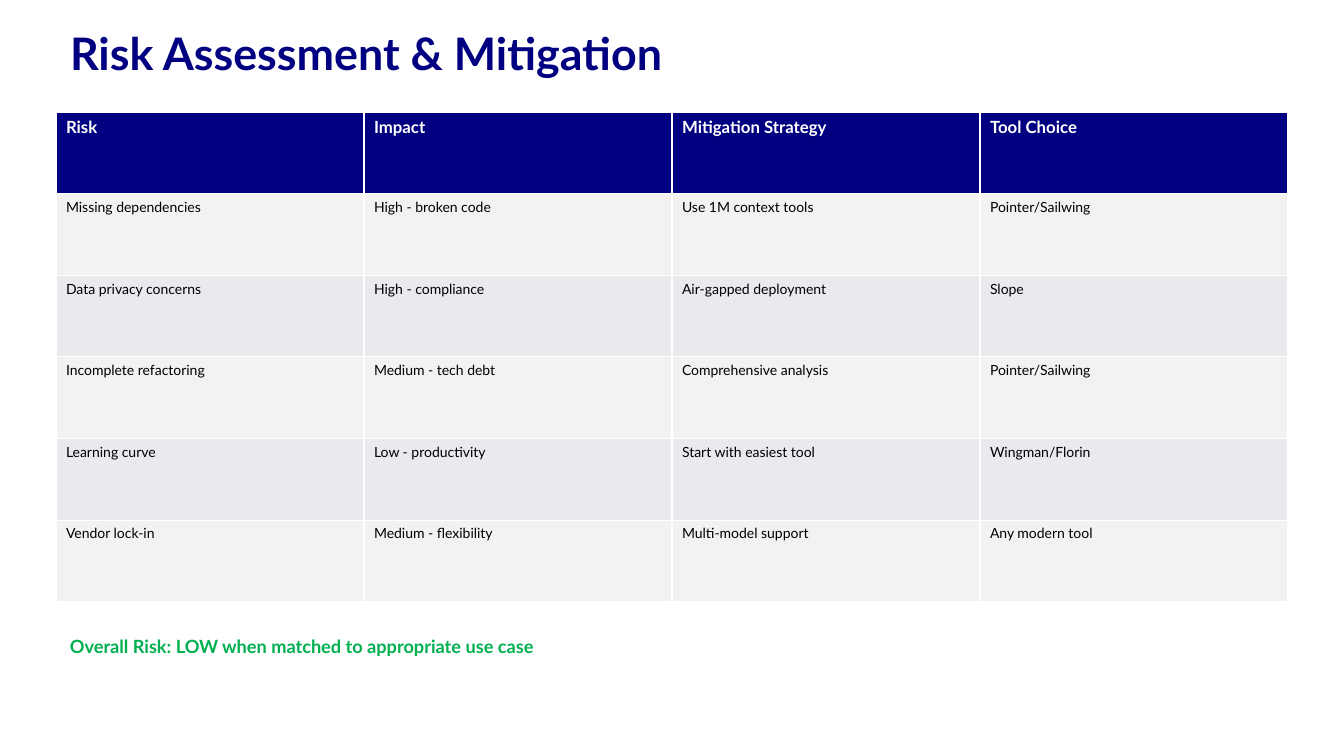
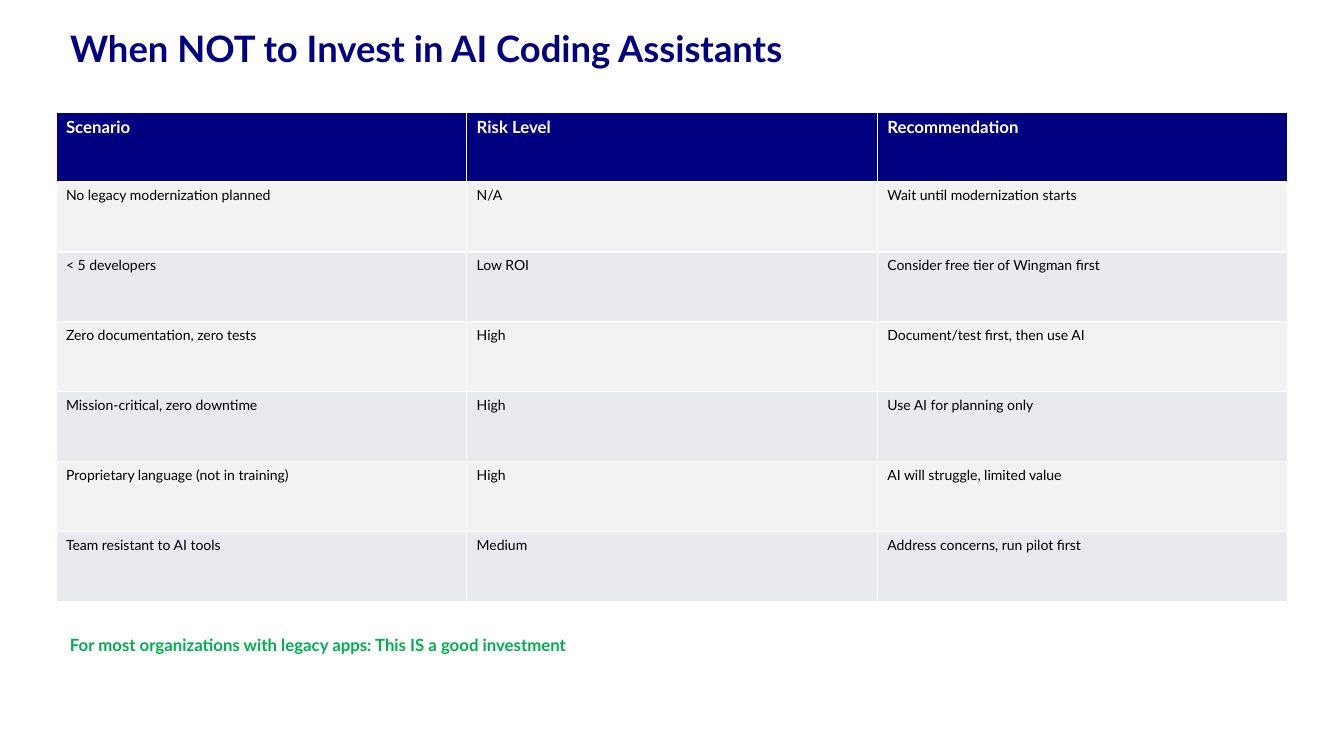
"""Build two slides, each with a title, a table and a closing line."""
import pptx
import pptx.util
import pptx.dml.color
import pptx.enum.text

Pt = pptx.util.Pt
INK = {"navy": "000080", "white": "FFFFFF", "black": "000000",
       "green": "00B050", "light": "F2F2F2", "grey": "E8EAED"}
FONT = "Lato"
LEFT, WIDE = 40, 880
TOP, HIGH = 80, 350


def write(frame, text, size, ink, bold):
    """Add one styled run to the first paragraph."""
    par = frame.paragraphs[0]
    par.alignment = pptx.enum.text.PP_ALIGN.LEFT
    run = par.add_run()
    run.text = text
    run.font.name = FONT
    run.font.size = Pt(size)
    run.font.bold = bold
    run.font.color.rgb = pptx.dml.color.RGBColor.from_string(INK[ink])


def place(box, top, high, text, size, ink):
    """Set a full-width line of bold text at the given height."""
    box.left, box.top, box.width, box.height = Pt(LEFT), Pt(top), Pt(WIDE), Pt(high)
    frame = box.text_frame
    frame.word_wrap = True
    frame.auto_size = pptx.enum.text.MSO_AUTO_SIZE.NONE
    frame.vertical_anchor = pptx.enum.text.MSO_ANCHOR.TOP
    frame.margin_left = frame.margin_right = Pt(10)
    frame.margin_top = frame.margin_bottom = Pt(3.6)
    write(frame, text, size, ink, True)


pages = [
    {
        "title": "Risk Assessment & Mitigation", "size": 32, "high": 46,
        "rows": [
            ("Risk", "Impact", "Mitigation Strategy", "Tool Choice"),
            ("Missing dependencies", "High - broken code", "Use 1M context tools", "Pointer/Sailwing"),
            ("Data privacy concerns", "High - compliance", "Air-gapped deployment", "Slope"),
            ("Incomplete refactoring", "Medium - tech debt", "Comprehensive analysis", "Pointer/Sailwing"),
            ("Learning curve", "Low - productivity", "Start with easiest tool", "Wingman/Florin"),
            ("Vendor lock-in", "Medium - flexibility", "Multi-model support", "Any modern tool"),
        ],
        "note": "Overall Risk: LOW when matched to appropriate use case", "small": 13,
    },
    {
        "title": "When NOT to Invest in AI Coding Assistants", "size": 26, "high": 39,
        "rows": [
            ("Scenario", "Risk Level", "Recommendation"),
            ("No legacy modernization planned", "N/A", "Wait until modernization starts"),
            ("< 5 developers", "Low ROI", "Consider free tier of Wingman first"),
            ("Zero documentation, zero tests", "High", "Document/test first, then use AI"),
            ("Mission-critical, zero downtime", "High", "Use AI for planning only"),
            ("Proprietary language (not in training)", "High", "AI will struggle, limited value"),
            ("Team resistant to AI tools", "Medium", "Address concerns, run pilot first"),
        ],
        "note": "For most organizations with legacy apps: This IS a good investment", "small": 12,
    },
]

deck = pptx.Presentation()
deck.slide_width, deck.slide_height = Pt(960), Pt(540)

for page in pages:
    slide = deck.slides.add_slide(deck.slide_layouts[5])
    place(slide.shapes.title, 15, page["high"], page["title"], page["size"], "navy")

    rows = page["rows"]
    count = len(rows[0])
    grid = slide.shapes.add_table(len(rows), count, Pt(LEFT), Pt(TOP), Pt(WIDE), Pt(HIGH)).table
    for col in grid.columns:
        col.width = Pt(WIDE / count)
    for i, row in enumerate(rows):
        grid.rows[i].height = Pt(HIGH / len(rows))
        head = i == 0
        fill = "navy" if head else ("grey", "light")[i % 2]
        for j, text in enumerate(row):
            cell = grid.cell(i, j)
            cell.fill.solid()
            cell.fill.fore_color.rgb = pptx.dml.color.RGBColor.from_string(INK[fill])
            write(cell.text_frame, text, 12 if head else 10, "white" if head else "black", head)

    note = slide.shapes.add_textbox(Pt(LEFT), Pt(450), Pt(WIDE), Pt(23))
    place(note, 450, 23, page["note"], page["small"], "green")

deck.save("out.pptx")
